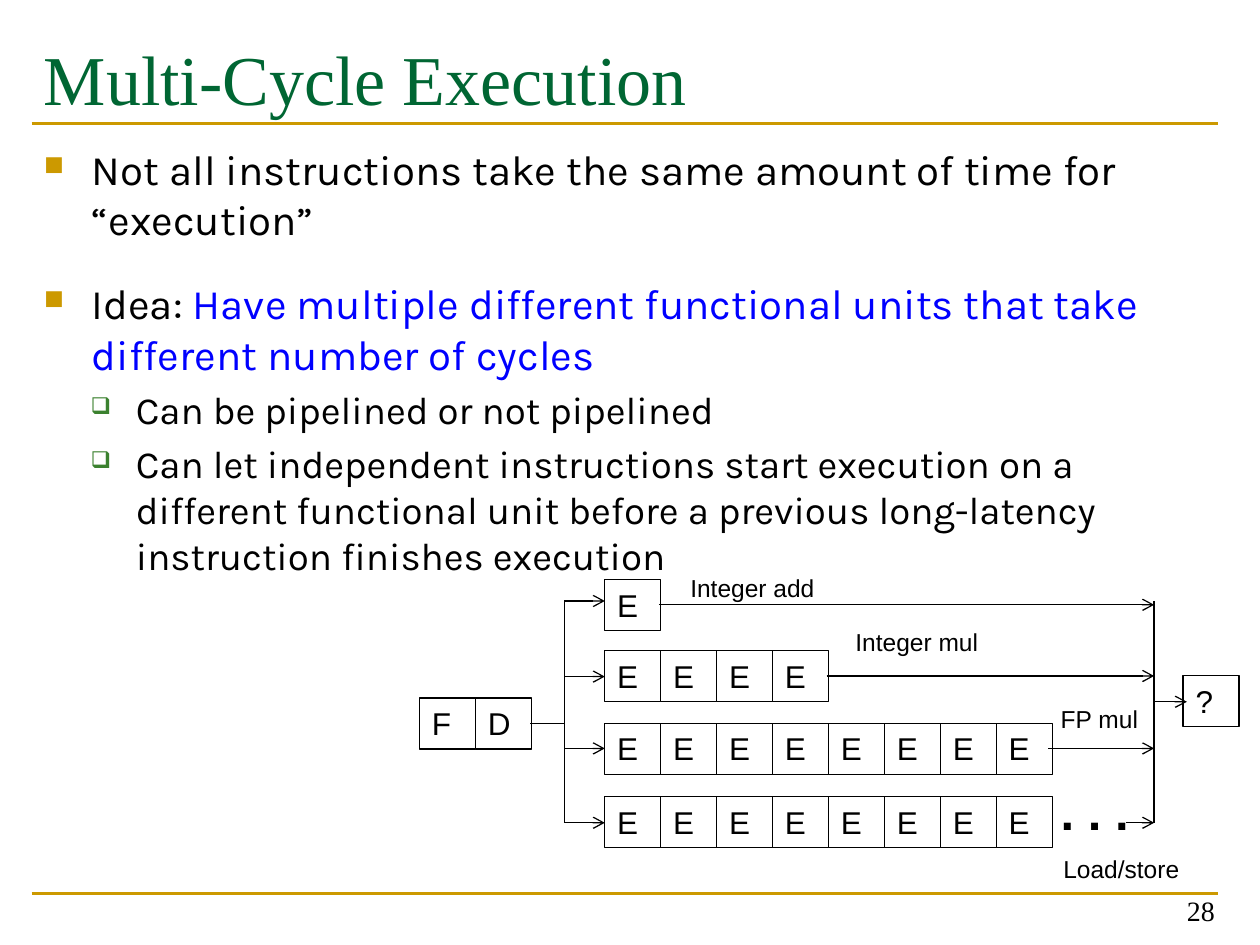
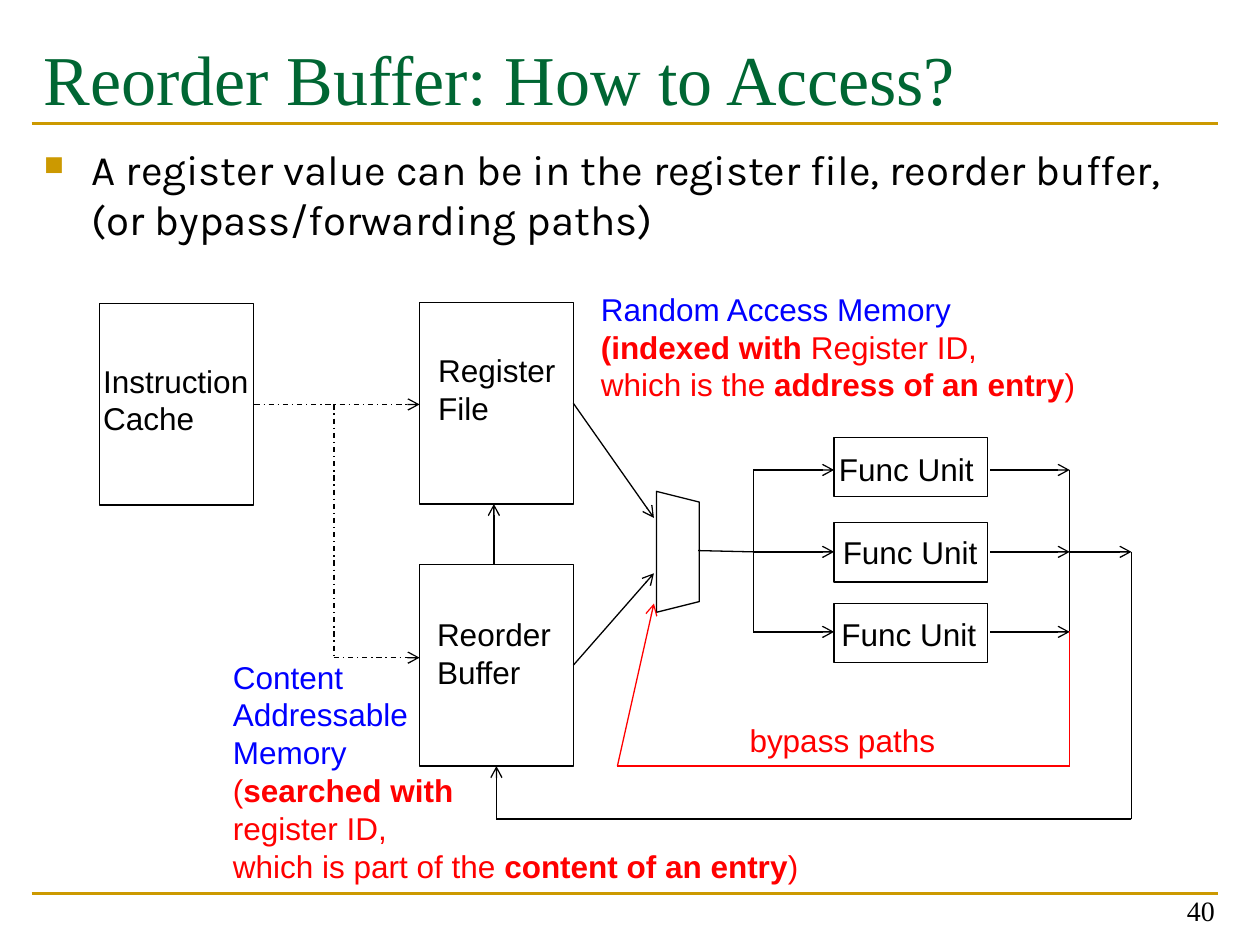
"""Builds two lecture slides on multi-cycle execution and the reorder buffer."""
from pptx import Presentation, util as u
from pptx.dml.color import RGBColor
from pptx.enum import dml, shapes, text
from pptx.oxml import ns, xmlchemy

GOLD = RGBColor(0xCC, 0x99, 0x00)
GREEN = RGBColor(0x00, 0x66, 0x33)
LEAF = RGBColor(0x3B, 0x81, 0x2F)
BLACK = RGBColor(0, 0, 0)
WHITE = RGBColor(0xFF, 0xFF, 0xFF)
BLUE = RGBColor(0, 0, 0xFF)
RED = RGBColor(0xFF, 0, 0)

COLUMNS, ROWS = 100, 75
STAGE_W, STAGE_H = 4.44, 4.05

TITLE = {"name": "Times New Roman", "size": u.Pt(40), "color": GREEN}
NUMBER = {"name": "Times New Roman", "size": u.Pt(16), "color": BLACK}
BODY = {"name": "Karla", "size": u.Pt(24), "color": BLACK}
LABEL = {"name": "Arial", "size": u.Pt(18), "color": BLACK}
SMALL = LABEL | {"size": u.Pt(14)}
DOTS = LABEL | {"size": u.Pt(28), "bold": True}
IN_BLUE, IN_RED = {"color": BLUE}, {"color": RED}
BOLD_RED = IN_RED | {"bold": True}

# Bullet levels: font size, left indent and hang in inches, mark, its colour and percentage
LEVELS = [
    {"size": 24, "left": 0.38, "hang": 0.38, "mark": "■", "color": GOLD, "percent": 65},
    {"size": 22, "left": 0.73, "hang": 0.36, "mark": "❑", "color": LEAF, "percent": 60},
]


def assign(target, values):
    """Set every attribute named in values on target."""
    for key, value in values.items():
        if key == "color":
            target.color.rgb = value
        else:
            setattr(target, key, value)


def add_xml(parent, tag, **attributes):
    """Append a drawing element with the given attributes."""
    child = xmlchemy.OxmlElement(tag)
    for key, value in attributes.items():
        child.set(key, str(value))
    parent.append(child)
    return child


class Deck:
    """Holds the presentation, the grid and the current slide."""

    def __init__(self):
        """Start an empty deck with a grid of columns and rows."""
        self.show = Presentation()
        self.show.slide_width, self.show.slide_height = u.Inches(10), u.Inches(7.5)
        self.column = self.show.slide_width / COLUMNS
        self.row = self.show.slide_height / ROWS
        self.slide = None

    def place(self, *lengths):
        """Turn alternating columns and rows into slide units."""
        return [round(length * (self.row if i % 2 else self.column))
                for i, length in enumerate(lengths)]

    def new_slide(self, title, number):
        """Add a slide with its rules, title and page number."""
        self.slide = self.show.slides.add_slide(self.show.slide_layouts[6])
        for y in (70.9, 9.8):
            self.line((2.5, y), (96.7, y), color=GOLD, width=1.5)
        self.text((2.5, 1.7, 94.2, 11.7), [title], TITLE,
                  word_wrap=True, margin_top=u.Inches(0.11))
        page = self.text((74.1, 69.1, 23.3, 5), [str(number)], NUMBER, word_wrap=True,
                         vertical_anchor=text.MSO_ANCHOR.BOTTOM)
        page.paragraphs[0].alignment = text.PP_ALIGN.RIGHT

    def fill_paragraph(self, paragraph, content, font):
        """Put in a string, or a list of (string, changes) runs."""
        runs = [(content, {})] if isinstance(content, str) else content
        for words, changes in runs:
            run = paragraph.add_run()
            run.text = words
            assign(run.font, font | {"bold": font.get("bold", False)} | changes)

    def fill_frame(self, frame, lines, font):
        """Put one paragraph per line into a text frame."""
        for i, content in enumerate(lines):
            paragraph = frame.add_paragraph() if i else frame.paragraphs[0]
            paragraph.alignment = text.PP_ALIGN.LEFT
            self.fill_paragraph(paragraph, content, font)

    def text(self, area, lines, font=LABEL, **frame_format):
        """Add a text box; it does not wrap unless told to."""
        frame = self.slide.shapes.add_textbox(*self.place(*area)).text_frame
        assign(frame, {"word_wrap": False} | frame_format)
        self.fill_frame(frame, lines, font)
        return frame

    def bullets(self, items):
        """Add the body from (level, space before, content) items."""
        frame = self.text((2.5, 10.9, 94.2, 56.8), [], word_wrap=True)
        for i, (level, gap, content) in enumerate(items):
            style = LEVELS[level]
            paragraph = frame.add_paragraph() if i else frame.paragraphs[0]
            assign(paragraph, {"level": level, "space_before": u.Pt(gap)})
            self.fill_paragraph(paragraph, content, BODY | {"size": u.Pt(style["size"])})
            properties = paragraph._p.get_or_add_pPr()
            properties.set("marL", str(u.Inches(style["left"])))
            properties.set("indent", str(-u.Inches(style["hang"])))
            add_xml(add_xml(properties, "a:buClr"), "a:srgbClr", val=style["color"])
            add_xml(properties, "a:buSzPct", val=style["percent"] * 1000)
            add_xml(properties, "a:buChar", char=style["mark"])

    def box(self, area, label=None, fill=None, kind=shapes.MSO_SHAPE.RECTANGLE, rotation=0):
        """Add an outlined shape, with a label if there is one."""
        shape = self.slide.shapes.add_shape(kind, *self.place(*area))
        shape.rotation = rotation
        shape.shadow.inherit = False
        assign(shape.line, {"color": BLACK, "width": u.Pt(0.75)})
        if fill is None:
            shape.fill.background()
        else:
            shape.fill.solid()
            shape.fill.fore_color.rgb = fill
        if label:
            shape.text_frame.vertical_anchor = text.MSO_ANCHOR.TOP
            self.fill_frame(shape.text_frame, [label], LABEL)

    def stages(self, left, top, labels):
        """Add a row of touching pipeline stages."""
        for i, label in enumerate(labels):
            self.box((left + i * STAGE_W, top, STAGE_W, STAGE_H), label, WHITE)

    def line(self, start, end, arrow=False, color=BLACK, width=0.75, dash=None):
        """Add a straight line, with an arrowhead at its end if asked."""
        connector = self.slide.shapes.add_connector(
            shapes.MSO_CONNECTOR.STRAIGHT, *self.place(*start, *end))
        assign(connector.line, {"color": color, "width": u.Pt(width), "dash_style": dash})
        properties = connector._element.spPr
        if arrow:
            add_xml(properties.find(ns.qn("a:ln")), "a:tailEnd", type="arrow")
        add_xml(properties, "a:effectLst")

    def route(self, *points, **style):
        """Join points by lines; the last one carries the arrowhead."""
        for i, (start, end) in enumerate(zip(points, points[1:]), 2):
            self.line(start, end, arrow=i == len(points), **style)


def multi_cycle(deck):
    """Slide on functional units with different latencies."""
    deck.new_slide("Multi-Cycle Execution", 28)
    deck.bullets([
        (0, 4.8, "Not all instructions take the same amount of time for “execution”"),
        (0, 19, [("Idea: ", {}),
                 ("Have multiple different functional units that take different "
                  "number of cycles", IN_BLUE)]),
        (1, 4.4, "Can be pipelined or not pipelined"),
        (1, 4.4, "Can let independent instructions start execution on a different "
                 "functional unit before a previous long-latency instruction "
                 "finishes execution"),
    ])
    units, fork, join = 48, 44.8, 91.6
    deck.stages(33.3, 55.4, "FD")
    deck.stages(93.9, 53.6, "?")
    # Stage top, stage count, height of the way in and out, start of the way out
    for top, count, way_in, way_out, leave in [
            (46, 1, 47.7, 48, 52.3), (51.65, 4, 53.7, 53.65, 65.6),
            (57.4, 8, 59.4, 59.4, 83.2), (63.2, 8, 65.3, 65.3, 89.4)]:
        deck.stages(units, top, "E" * count)
        deck.line((fork, way_in), (units, way_in), arrow=True)
        deck.line((leave, way_out), (join, way_out), arrow=True)
    for x in (fork, join):
        deck.line((x, 47.7), (x, 65.3))
    deck.line((42.1, 57.4), (fork, 57.4))
    deck.line((join, 55.7), (94.2, 55.7), arrow=True)
    deck.text((83.2, 61.5, 7.5, 5.7), [". . ."], DOTS)
    for x, y, width, name in [(53.8, 45, 11.9, "Integer add"), (66.9, 49.3, 11.8, "Integer mul"),
                              (83.2, 55.4, 8.2, "FP mul"), (83.4, 67.3, 11.2, "Load/store")]:
        deck.text((x, y, width, 3.4), [name], SMALL)


def reorder_buffer(deck):
    """Slide on reading values from register file or reorder buffer."""
    deck.new_slide("Reorder Buffer: How to Access?", 40)
    deck.bullets([(0, 4.8, "A register value can be in the register file, reorder buffer, "
                           "(or bypass/forwarding paths)")])

    # Storage blocks with their labels
    for x, y, label_area, lines in [
            (7.9, 24.1, (7.2, 28.2, 13.6, 7.1), ["Instruction", "Cache"]),
            (33.3, 24, (33.8, 27.4, 11.4, 7.1), ["Register", "File"]),
            (33.3, 44.8, (33.7, 48.3, 11.1, 7.1), ["Reorder", "Buffer"])]:
        deck.box((x, y, 12.2, 16))
        deck.text(label_area, lines)

    # Functional units between the operand bus and the result bus
    operands, results = 59.8, 84.9
    for top, label_x, label_y, middle in [(34.7, 65.6, 35.2, 37.3), (41.5, 65.9, 41.8, 43.8),
                                          (47.9, 65.8, 48.3, 50.15)]:
        deck.box((66.2, top, 12.2, 4.7))
        deck.text((label_x, label_y, 12.8, 4), ["Func Unit"])
        deck.line((operands, middle), (66.2, middle), arrow=True)
        deck.line((78.6, middle), (results, middle), arrow=True)
    for x in (operands, results):
        deck.line((x, 37.3), (x, 50.2))

    # Lookup by the instruction, then operand selection
    dashed = {"dash": dml.MSO_LINE.DASH_DOT}
    deck.route((20.2, 32.1), (33.3, 32.1), **dashed)
    deck.route((26.5, 32.1), (26.5, 52.2), (33.3, 52.2), **dashed)
    deck.box((49, 42.1, 9.6, 3.4), kind=shapes.MSO_SHAPE.TRAPEZOID, rotation=90)
    deck.route((45.5, 32), (51.9, 41.1))
    deck.route((45.5, 52.8), (51.9, 45.5))
    deck.line((55.4, 43.7), (operands, 43.8))

    # Write-back, commit and bypass
    deck.route((results, 43.8), (89.8, 43.8))
    deck.route((89.8, 43.8), (89.8, 65), (39.4, 65), (39.4, 60.8))
    deck.route((39.2, 44.8), (39.2, 40))
    deck.route((results, 50.1), (results, 60.8), (49, 60.8), (51.9, 47.9), color=RED)
    deck.text((58.5, 56.7, 16.9, 4), ["bypass paths"], LABEL | IN_RED)

    deck.text((17.5, 51.7, 47.5, 19.2), [
        [("Content", IN_BLUE)], [("Addressable", IN_BLUE)], [("Memory", IN_BLUE)],
        [("(", IN_RED), ("searched with", BOLD_RED)],
        [("register ID,", IN_RED)],
        [("which is part of the ", IN_RED), ("content of an entry", BOLD_RED), (")", IN_RED)],
    ])
    deck.text((46.7, 22.5, 40.2, 10.1), [
        [("Random Access Memory", IN_BLUE)],
        [("(indexed with", BOLD_RED), (" Register ID,", IN_RED)],
        [("which is the ", IN_RED), ("address of an entry", BOLD_RED), (")", IN_RED)],
    ])


lecture = Deck()
multi_cycle(lecture)
reorder_buffer(lecture)
lecture.show.save("out.pptx")
